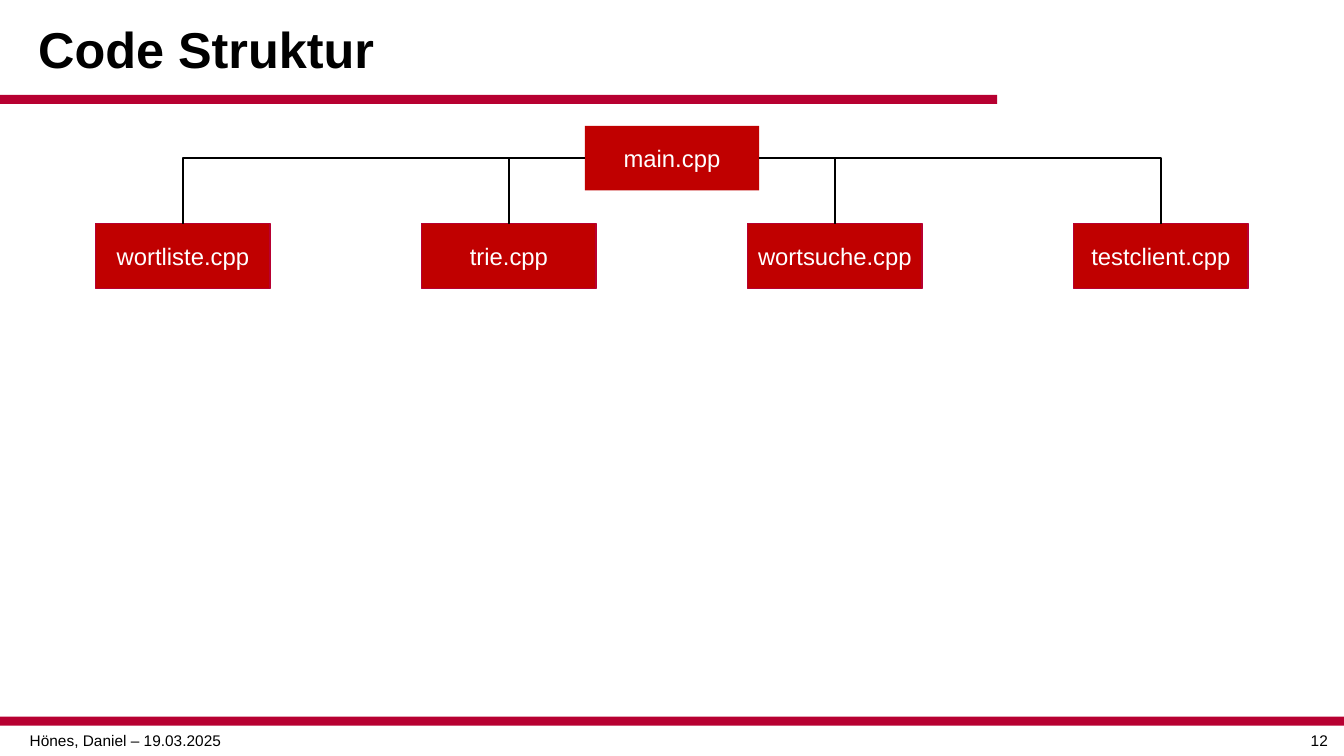
"""Build the "Code Struktur" slide: a file tree under main.cpp."""
from lxml import etree
from pptx import Presentation
from pptx import util as u
from pptx.dml.color import RGBColor
from pptx.enum import shapes, text
from pptx.oxml import ns

COLORS = {"bar": "B70031", "box": "C00000", "black": "000000", "white": "FFFFFF"}
CHILDREN = ["wortliste.cpp", "trie.cpp", "wortsuche.cpp", "testclient.cpp"]
BOX_WIDTH, BOX_HEIGHT = 1.73, 0.64
CHILD_LEFT, CHILD_STEP = 0.95, 9.7 / 3
TOP_SITE, LEFT_SITE, RIGHT_SITE = 0, 1, 3

deck = Presentation()
deck.slide_width, deck.slide_height = u.Inches(13.33), u.Inches(7.5)
page = deck.slides.add_slide(deck.slide_layouts[6])


def write(shape, words, size, color="black", bold=False, spacing=1.0,
          align=text.PP_ALIGN.CENTER, anchor=text.MSO_ANCHOR.MIDDLE, wrap=True):
    frame = shape.text_frame
    frame.word_wrap = wrap
    frame.vertical_anchor = anchor
    para = frame.paragraphs[0]
    para.alignment, para.line_spacing = align, spacing
    span = para.add_run()
    span.text = words
    span.font.name, span.font.size, span.font.bold = "Arial", u.Pt(size), bold
    span.font.color.rgb = RGBColor.from_string(COLORS[color])


def add_rect(left, top, width, height, fill, outline=None):
    rect = page.shapes.add_shape(shapes.MSO_SHAPE.RECTANGLE, u.Inches(left),
                                 u.Inches(top), u.Inches(width), u.Inches(height))
    rect.shadow.inherit = False
    rect.fill.solid()
    rect.fill.fore_color.rgb = RGBColor.from_string(COLORS[fill])
    if outline:
        rect.line.color.rgb = RGBColor.from_string(COLORS[outline])
        rect.line.width = u.Pt(1)
    else:
        rect.line.fill.background()
    return rect


title = page.shapes.add_textbox(u.Inches(0.28), u.Inches(0.09), u.Inches(11.22), u.Inches(0.85))
write(title, "Code Struktur", 36, bold=True, spacing=0.9, align=text.PP_ALIGN.LEFT)

for top, width in [(0.94, 9.89), (7.11, 13.33)]:
    add_rect(0, top, width, 0.09, "bar")

for left, width, words in [(0, 2.49, "Hönes, Daniel – 19.03.2025"), (12.83, 0.51, "12")]:
    footer = page.shapes.add_textbox(u.Inches(left), u.Inches(7.2), u.Inches(width), u.Inches(0.29))
    write(footer, words, 11, anchor=text.MSO_ANCHOR.TOP)

main_box = add_rect(5.8, 1.25, BOX_WIDTH, BOX_HEIGHT, "box")
write(main_box, "main.cpp", 17, "white", wrap=False)

for index, name in enumerate(CHILDREN):
    child = add_rect(CHILD_LEFT + index * CHILD_STEP, 2.22, BOX_WIDTH, BOX_HEIGHT, "box", "bar")
    write(child, name, 17, "white", wrap=False)

    link = page.shapes.add_connector(shapes.MSO_CONNECTOR.ELBOW, 0, 0, 0, 0)
    link.begin_connect(main_box, LEFT_SITE if index < 2 else RIGHT_SITE)
    link.end_connect(child, TOP_SITE)
    link.line.color.rgb = RGBColor.from_string(COLORS["black"])
    link.line.width = u.Pt(1.5)
    properties = link._element.spPr
    properties.find(ns.qn("a:prstGeom")).set("prst", "bentConnector2")
    etree.SubElement(properties, ns.qn("a:effectLst"))

deck.save("out.pptx")
